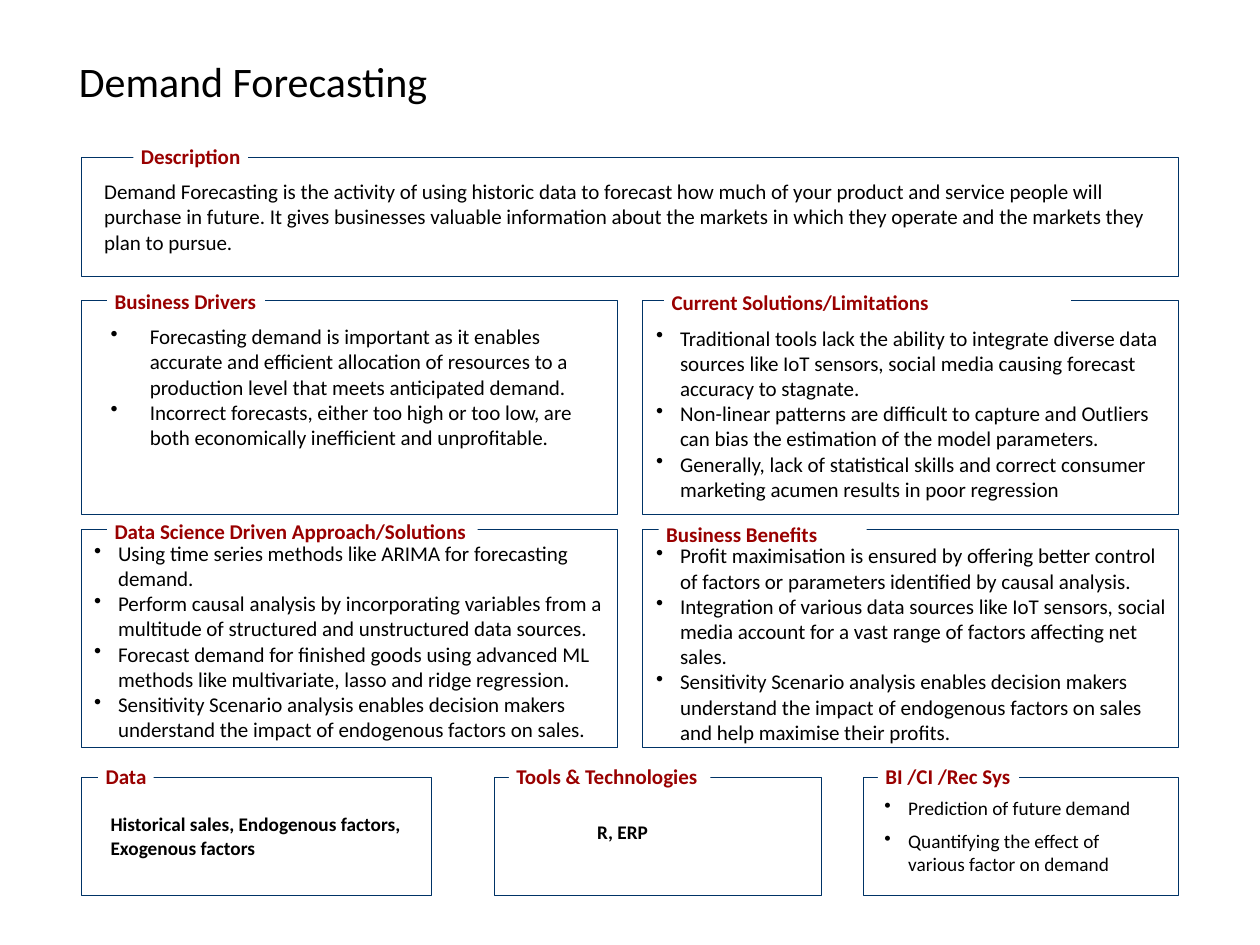
"""Build the Demand Forecasting one-page summary slide."""
from dataclasses import dataclass
from typing import NamedTuple

import pptx
import pptx.dml.color
import pptx.enum.shapes
import pptx.enum.text
import pptx.oxml
import pptx.oxml.ns
import pptx.util

Cm = pptx.util.Cm
Pt = pptx.util.Pt
FONT = "Calibri"
NAVY, MAROON, BLACK, WHITE = "003366", "990000", "000000", "FFFFFF"
LEFT, RIGHT, HALF = 1.65, 12.95, 10.8
TOP_ROW, MIDDLE_ROW, BOTTOM_ROW = 6.05, 10.67, 15.67
LEGEND_HEIGHT = 0.51


class Box(NamedTuple):
    left: float
    top: float
    width: float
    height: float


@dataclass
class Panel:
    legend: str
    frame: Box
    legend_box: Box
    body_box: Box
    body: list[str]
    indent: float = 0
    size: float = 12
    bold: bool = False
    gap: float = 0


PANELS = [
    Panel("Description", Box(LEFT, 3.18, 22.1, 2.39), Box(2.69, 2.9, 2.31, LEGEND_HEIGHT),
          Box(1.85, 3.48, 21.74, 1.8),
          ["Demand Forecasting is the activity of using historic data to forecast how much of "
           "your product and service people will purchase in future. It gives businesses valuable "
           "information about the markets in which they operate and the markets they plan to pursue."]),
    Panel("Business Drivers", Box(LEFT, TOP_ROW, HALF, 4.32), Box(2.16, 5.82, 3.18, LEGEND_HEIGHT),
          Box(1.98, 6.4, 10.57, 2.82),
          ["Forecasting demand is important as it enables accurate and efficient allocation of "
           "resources to a production level that meets anticipated demand.",
           "Incorrect forecasts, either too high or too low, are both economically inefficient "
           "and unprofitable."], indent=0.79),
    Panel("Current Solutions/Limitations", Box(RIGHT, TOP_ROW, HALF, 4.32),
          Box(13.39, 5.84, 8.2, LEGEND_HEIGHT), Box(12.98, 6.43, 10.74, 3.84),
          ["Traditional tools lack the ability to integrate diverse data sources like IoT sensors, "
           "social media causing forecast accuracy to stagnate.",
           "Non-linear patterns are difficult to capture and Outliers can bias the estimation of "
           "the model parameters.",
           "Generally, lack of statistical skills and correct consumer marketing acumen results "
           "in poor regression"], indent=0.48),
    Panel("Data Science Driven Approach/Solutions", Box(LEFT, MIDDLE_ROW, HALF, 4.39),
          Box(2.16, 10.46, 7.47, LEGEND_HEIGHT), Box(1.65, 10.77, 11.02, 4.37),
          ["Using time series methods like ARIMA for forecasting demand.",
           "Perform causal analysis by incorporating variables from a multitude of structured and "
           "unstructured data sources.",
           "Forecast demand for finished goods using advanced ML methods like multivariate, lasso "
           "and ridge regression.",
           "Sensitivity Scenario analysis enables decision makers understand the impact of "
           "endogenous factors on sales."], indent=0.48),
    Panel("Business Benefits", Box(RIGHT, MIDDLE_ROW, HALF, 4.39),
          Box(13.28, 10.52, 4.19, LEGEND_HEIGHT), Box(12.98, 10.82, 10.8, 4.37),
          ["Profit maximisation is ensured by offering better control of factors or parameters "
           "identified by causal analysis.",
           "Integration of various data sources like IoT sensors, social media account for a vast "
           "range of factors affecting net sales.",
           "Sensitivity Scenario analysis enables decision makers understand the impact of "
           "endogenous factors on sales and help maximise their profits."], indent=0.48),
    Panel("Data", Box(LEFT, BOTTOM_ROW, 7.04, 2.39), Box(1.98, 15.39, 1.12, LEGEND_HEIGHT),
          Box(1.98, 16.26, 6.71, 1.19),
          ["Historical sales, Endogenous factors, Exogenous factors"], size=11, bold=True),
    Panel("Tools & Technologies", Box(9.96, BOTTOM_ROW, 6.6, 2.39),
          Box(10.26, 15.39, 4.06, LEGEND_HEIGHT), Box(11.79, 16.41, 5.11, 0.74),
          ["R, ERP"], size=11, bold=True),
    Panel("BI /CI /Rec Sys", Box(17.4, BOTTOM_ROW, 6.35, 2.39),
          Box(17.7, 15.39, 2.84, LEGEND_HEIGHT), Box(17.58, 15.93, 5.64, 1.91),
          ["Prediction of future demand", "Quantifying the effect of various factor on demand"],
          indent=0.48, size=11, gap=5.5),
]


def color(value: str) -> pptx.dml.color.RGBColor:
    return pptx.dml.color.RGBColor.from_string(value)


def lengths(box: Box) -> list[int]:
    return [Cm(value) for value in box]


def add_run(paragraph, text: str, size: float, ink: str, bold: bool = False) -> None:
    paragraph.alignment = pptx.enum.text.PP_ALIGN.LEFT
    run = paragraph.add_run()
    run.text = text
    run.font.name = FONT
    run.font.size = Pt(size)
    run.font.bold = bold
    run.font.color.rgb = color(ink)


def add_bullet(paragraph, indent: float) -> None:
    properties = paragraph._p.get_or_add_pPr()
    properties.set("marL", str(Cm(indent)))
    properties.set("indent", str(-Cm(indent)))
    bullet = pptx.oxml.parse_xml(f'<a:buChar {pptx.oxml.ns.nsdecls("a")} char="•"/>')
    properties.append(bullet)


def add_rectangle(slide, box: Box):
    rectangle = slide.shapes.add_shape(pptx.enum.shapes.MSO_SHAPE.RECTANGLE, *lengths(box))
    rectangle.shadow.inherit = False
    return rectangle


def add_frame(slide, box: Box) -> None:
    frame = add_rectangle(slide, box)
    frame.fill.background()
    frame.line.color.rgb = color(NAVY)
    frame.line.width = Pt(0.5)


def add_legend(slide, panel: Panel) -> None:
    legend = add_rectangle(slide, panel.legend_box)
    legend.fill.solid()
    legend.fill.fore_color.rgb = color(WHITE)
    legend.line.fill.background()
    text = legend.text_frame
    text.margin_left = Cm(0.15)
    text.margin_right = text.margin_top = text.margin_bottom = 0
    text.vertical_anchor = pptx.enum.text.MSO_ANCHOR.TOP
    text.word_wrap = True
    text.auto_size = pptx.enum.text.MSO_AUTO_SIZE.SHAPE_TO_FIT_TEXT
    add_run(text.paragraphs[0], panel.legend, 12, MAROON, bold=True)


def add_body(slide, panel: Panel) -> None:
    text = slide.shapes.add_textbox(*lengths(panel.body_box)).text_frame
    text.word_wrap = True
    text.auto_size = pptx.enum.text.MSO_AUTO_SIZE.SHAPE_TO_FIT_TEXT
    for index, sentence in enumerate(panel.body):
        paragraph = text.add_paragraph() if index else text.paragraphs[0]
        if index and panel.gap:
            paragraph.space_before = Pt(panel.gap)
        add_run(paragraph, sentence, panel.size, BLACK, panel.bold)
        if panel.indent:
            add_bullet(paragraph, panel.indent)


def add_title(slide, title: str) -> None:
    text = slide.shapes.add_textbox(*lengths(Box(0, 0.99, 25.4, 1.27))).text_frame
    text.word_wrap = True
    text.margin_left = Cm(1.59)
    text.vertical_anchor = pptx.enum.text.MSO_ANCHOR.MIDDLE
    add_run(text.paragraphs[0], title, 24, BLACK)


def main() -> None:
    presentation = pptx.Presentation()
    presentation.slide_width, presentation.slide_height = Cm(25.4), Cm(19.05)
    slide = presentation.slides.add_slide(presentation.slide_layouts[6])
    add_title(slide, "Demand Forecasting")
    for panel in PANELS:
        add_frame(slide, panel.frame)
        add_legend(slide, panel)
        add_body(slide, panel)
    presentation.save("out.pptx")


if __name__ == "__main__":
    main()
